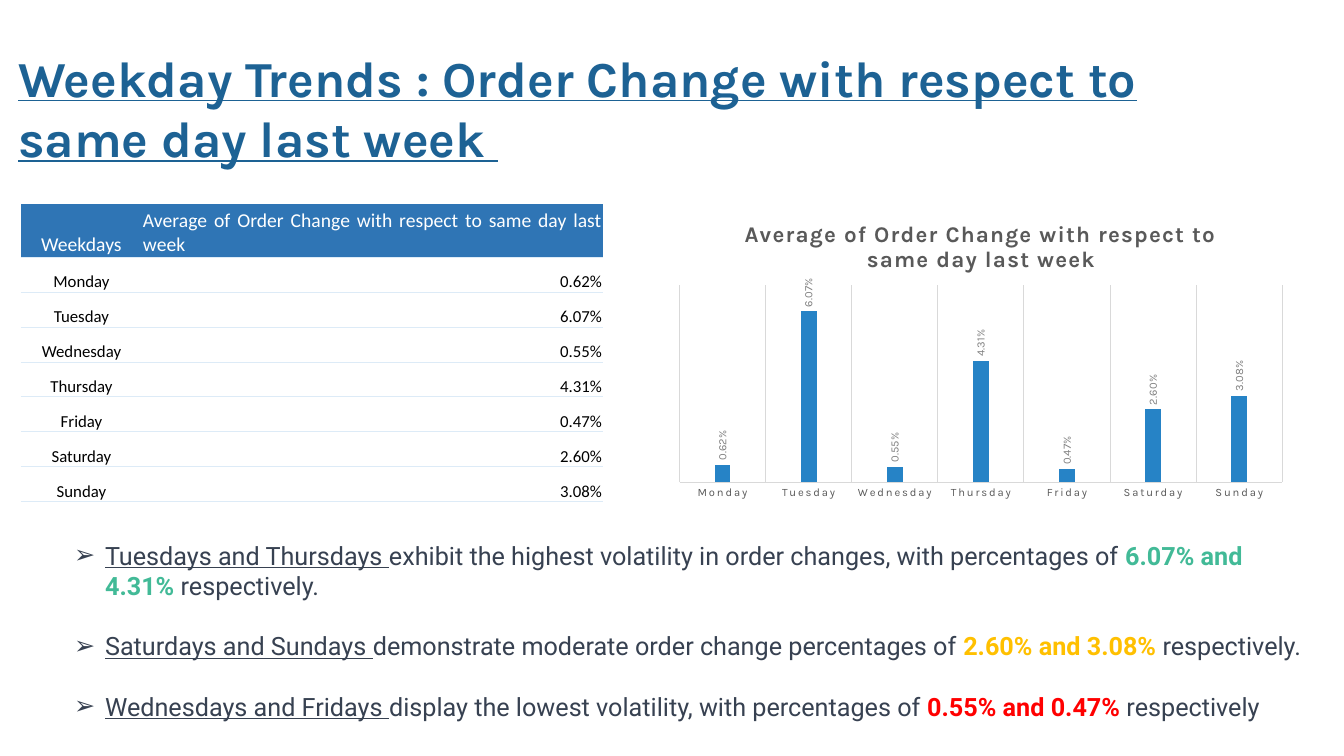
from lxml import etree
from pptx import Presentation
from pptx.chart.data import CategoryChartData
from pptx.dml.color import RGBColor
from pptx.enum.chart import XL_CHART_TYPE, XL_LABEL_POSITION, XL_TICK_MARK
from pptx.enum.text import MSO_ANCHOR, MSO_AUTO_SIZE, PP_ALIGN
from pptx.oxml.ns import qn
from pptx.util import Emu, Pt

SLIDE_W, SLIDE_H = 1344, 756
EMU_PER_PX = 12192000 / SLIDE_W
TOP, BOTTOM = MSO_ANCHOR.TOP, MSO_ANCHOR.BOTTOM
LEFT, CENTER, RIGHT, JUSTIFY = PP_ALIGN.LEFT, PP_ALIGN.CENTER, PP_ALIGN.RIGHT, PP_ALIGN.JUSTIFY
COLUMNS = XL_CHART_TYPE.COLUMN_CLUSTERED
OUTSIDE_END = XL_LABEL_POSITION.OUTSIDE_END
NO_TICK = XL_TICK_MARK.NONE
NO_AUTOFIT = MSO_AUTO_SIZE.NONE
NO_TABLE_STYLE = "{2D5ABB26-0587-4C30-8999-92F81FD0307C}"

MEASURE = "Average of Order Change with respect to same day last week"
ORDER_CHANGE = {
    "Monday": 0.0062, "Tuesday": 0.0607, "Wednesday": 0.0055, "Thursday": 0.0431,
    "Friday": 0.0047, "Saturday": 0.026, "Sunday": 0.0308,
}
FINDINGS = [
    ("Tuesdays and Thursdays ",
     "exhibit the highest volatility in order changes, with percentages of ",
     "6.07% and 4.31% ", "42BA97", "respectively."),
    ("Saturdays and Sundays ",
     "demonstrate moderate order change percentages of ",
     "2.60% and 3.08% ", "FFC000", "respectively."),
    ("Wednesdays and Fridays ",
     "display the lowest volatility, with percentages of ",
     "0.55% and 0.47% ", "FF0000", "respectively"),
]


def px(length):
    return Emu(round(length * EMU_PER_PX))


def rgb(color):
    return RGBColor.from_string(color)


def set_font(font, name, size, color, **extras):
    font.color.rgb = rgb(color)
    for attribute, value in {"name": name, "size": Pt(size), **extras}.items():
        setattr(font, attribute, value)


def add_run(paragraph, text, *font, **extras):
    run = paragraph.add_run()
    run.text = text
    set_font(run.font, *font, **extras)
    return run


def place(placeholder, box):
    """Move a placeholder to a box and start its text at the top."""
    for side, length in zip(("left", "top", "width", "height"), box):
        setattr(placeholder, side, px(length))
    frame = placeholder.text_frame
    for attribute, value in {"word_wrap": True, "auto_size": NO_AUTOFIT,
                             "vertical_anchor": TOP}.items():
        setattr(frame, attribute, value)
    return frame


def add_heading(slide, box):
    paragraph = place(slide.shapes.title, box).paragraphs[0]
    paragraph.alignment = LEFT
    add_run(paragraph, "Weekday Trends : Order Change with respect to same day last week ",
            "Karla", 36, "1D6294", bold=True, underline=True)


def fill_cell(cell, text, align, size, color, fill=None):
    for side in ("left", "right", "top"):
        setattr(cell, f"margin_{side}", px(1))
    cell.margin_bottom = 0
    cell.vertical_anchor = BOTTOM
    paragraph = cell.text_frame.paragraphs[0]
    paragraph.alignment = align
    add_run(paragraph, text, "Calibri", size, color)
    if fill:
        cell.fill.solid()
        cell.fill.fore_color.rgb = rgb(fill)
    else:
        cell.fill.background()
    border = etree.Element(qn("a:lnB"), w=str(Pt(0.5)))
    solid = etree.SubElement(border, qn("a:solidFill"))
    etree.SubElement(solid, qn("a:srgbClr"), val="DDEBF7")
    cell._tc.get_or_add_tcPr().insert(0, border)


def add_weekday_table(slide, box):
    left, top, width, height = map(px, box)
    days = list(ORDER_CHANGE.items())
    table = slide.shapes.add_table(len(days) + 1, 2, left, top, width, height).table
    table.first_row = table.horz_banding = False
    table._tbl.tblPr.find(qn("a:tableStyleId")).text = NO_TABLE_STYLE
    day_width, header_height, row_height = 121, 53, 35
    table.columns[0].width = px(day_width)
    table.columns[1].width = px(box[2] - day_width)
    for index, row in enumerate(table.rows):
        row.height = px(row_height if index else header_height)
    fill_cell(table.cell(0, 0), "Weekdays", CENTER, 14, "FFFFFF", "2F75B5")
    fill_cell(table.cell(0, 1), MEASURE, JUSTIFY, 14, "FFFFFF", "2F75B5")
    for index, (day, change) in enumerate(days, 1):
        fill_cell(table.cell(index, 0), day, CENTER, 12, "000000")
        fill_cell(table.cell(index, 1), f"{change:.2%}", RIGHT, 12, "000000")


def add_weekday_chart(slide, box):
    data = CategoryChartData(number_format="0.00%")
    data.categories = list(ORDER_CHANGE)
    data.add_series(MEASURE, list(ORDER_CHANGE.values()))
    chart = slide.shapes.add_chart(COLUMNS, *map(px, box), data).chart
    set_font(chart.font, "Karla", 10, "000000")
    chart.has_legend = False
    heading = add_run(chart.chart_title.text_frame.paragraphs[0], MEASURE,
                      "Karla", 16, "595959", bold=True)
    heading._r.get_or_add_rPr().set("spc", "100")

    days = chart.category_axis
    days.major_tick_mark = days.minor_tick_mark = NO_TICK
    days.has_major_gridlines = True
    for line in (days.format.line, days.major_gridlines.format.line):
        line.color.rgb = rgb("D9D9D9")
        line.width = Pt(0.75)
    set_font(days.tick_labels.font, "Karla", 8, "595959")
    days._element.find(f".//{qn('a:defRPr')}").set("spc", "120")

    changes = chart.value_axis
    changes.visible = changes.has_major_gridlines = False
    changes.minimum_scale, changes.maximum_scale = 0, 0.07

    plot = chart.plots[0]
    plot.gap_width, plot.overlap, plot.vary_by_categories = 444, -90, False
    bars = plot.series[0]
    bars.format.fill.solid()
    bars.format.fill.fore_color.rgb = rgb("2683C6")
    labels = bars.data_labels
    for attribute, value in {"show_value": True, "position": OUTSIDE_END,
                             "number_format": "0.00%",
                             "number_format_is_linked": False}.items():
        setattr(labels, attribute, value)
    set_font(labels.font, "Karla", 8, "808080")
    turned = labels._element.find(f".//{qn('a:bodyPr')}")
    turned.set("rot", "-5400000")
    turned.set("vert", "horz")


def add_findings(slide, box):
    frame = place(slide.placeholders[1], box)
    indent = px(31)
    for index, (days, verdict, figures, color, ending) in enumerate(FINDINGS):
        paragraph = frame.add_paragraph() if index else frame.paragraphs[0]
        paragraph.space_before = Pt(21.5 if index else 0)
        properties = paragraph._p.get_or_add_pPr()
        properties.set("marL", str(indent))
        properties.set("indent", str(-indent))
        etree.SubElement(properties, qn("a:buFont"), typeface="Arial")
        etree.SubElement(properties, qn("a:buChar"), char="➢")
        add_run(paragraph, days, "Roboto", 18, "374151", underline=True)
        add_run(paragraph, verdict, "Roboto", 18, "374151")
        add_run(paragraph, figures, "Roboto", 18, color, bold=True)
        add_run(paragraph, ending, "Roboto", 18, "374151")


def main():
    deck = Presentation()
    deck.slide_width, deck.slide_height = px(SLIDE_W), px(SLIDE_H)
    slide = deck.slides.add_slide(deck.slide_layouts[1])
    add_heading(slide, (8, 42, 1263, 132))
    add_weekday_table(slide, (21, 204, 582, 298))
    add_weekday_chart(slide, (667, 204, 628, 302))
    add_findings(slide, (64, 535, 1263, 221))
    deck.save("out.pptx")


if __name__ == "__main__":
    main()
